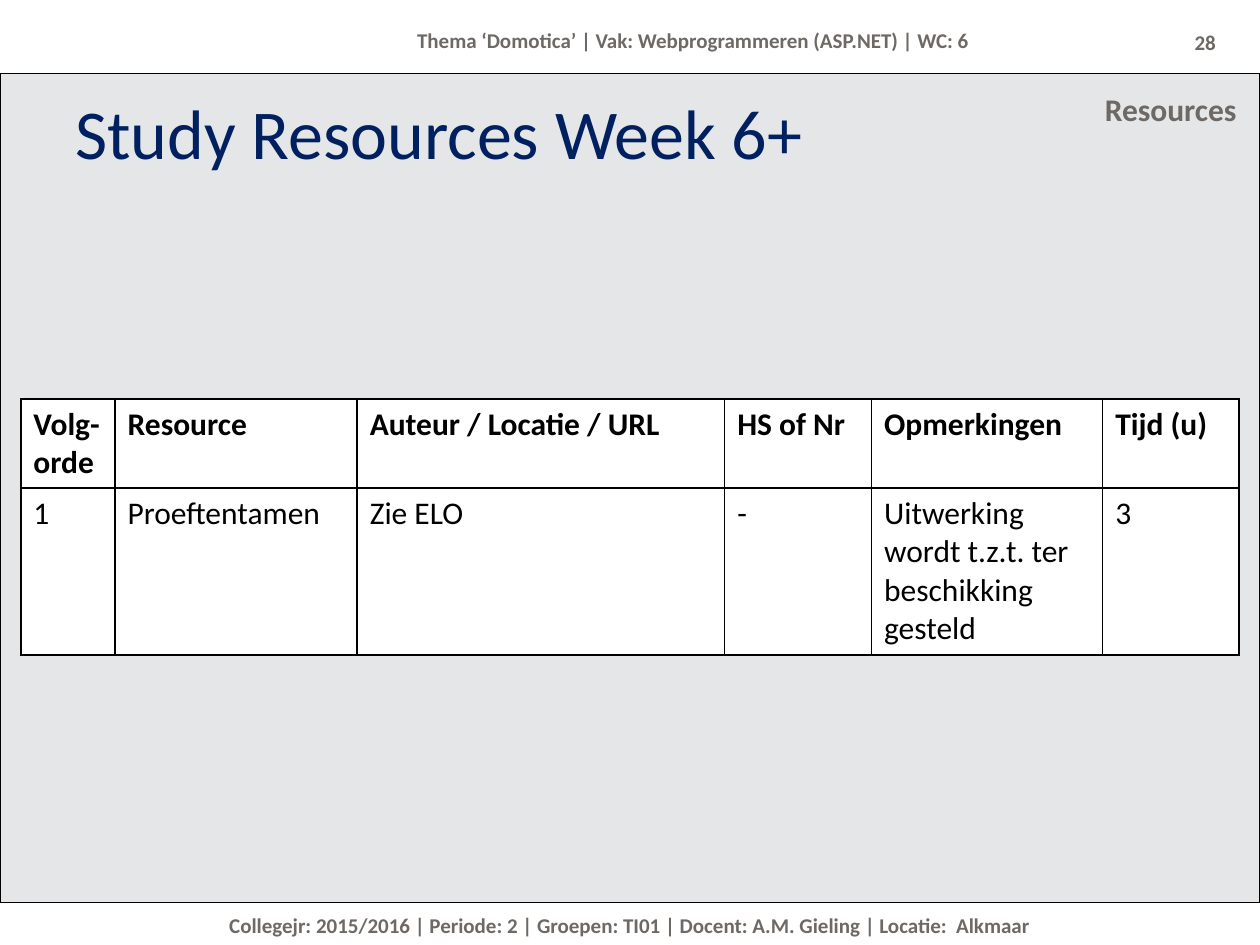
from lxml import etree
from pptx import Presentation
from pptx.dml.color import RGBColor
from pptx.enum.shapes import MSO_SHAPE
from pptx.enum.text import MSO_ANCHOR, PP_ALIGN
from pptx.oxml.ns import qn
from pptx.util import Cm, Pt

RECTANGLE = MSO_SHAPE.RECTANGLE
TOP, MIDDLE = MSO_ANCHOR.TOP, MSO_ANCHOR.MIDDLE
LEFT, CENTER, RIGHT = PP_ALIGN.LEFT, PP_ALIGN.CENTER, PP_ALIGN.RIGHT

FONT = "Calibri"
GREY, NAVY, BLACK, WHITE, PANEL = "6E6964", "002060", "000000", "FFFFFF", "E5E6E8"
COLUMN_WIDTHS = [1.9, 4.88, 7.41, 2.96, 4.66, 2.75]
ROW_HEIGHTS = [1.8, 3.36]
RESOURCES = [
    ["Volg-orde", "Resource", "Auteur / Locatie / URL", "HS of Nr", "Opmerkingen", "Tijd (u)"],
    ["1", "Proeftentamen", "Zie ELO", "-", "Uitwerking wordt t.z.t. ter beschikking gesteld", "3"],
]


def color(value):
    """Return the colour for a hex string."""
    return RGBColor.from_string(value)


def write(frame, text, size, text_color, bold=False, align=LEFT):
    """Set and format the text of a frame."""
    frame.text = text
    frame.word_wrap = True
    for paragraph in frame.paragraphs:
        paragraph.alignment = align
        for run in paragraph.runs:
            run.font.name = FONT
            run.font.size = Pt(size)
            run.font.bold = bold
            run.font.color.rgb = color(text_color)


def add_label(slide, box, text, size, text_color=GREY, bold=True, align=CENTER, anchor=TOP):
    """Place a text box in a box given in centimetres."""
    frame = slide.shapes.add_textbox(*map(Cm, box)).text_frame
    write(frame, text, size, text_color, bold, align)
    frame.vertical_anchor = anchor


def add_panel(slide, box):
    """Draw the grey content panel."""
    panel = slide.shapes.add_shape(RECTANGLE, *map(Cm, box))
    panel.shadow.inherit = False
    panel.fill.solid()
    panel.fill.fore_color.rgb = color(PANEL)
    panel.line.color.rgb = color(BLACK)
    panel.line.width = Pt(0.75)


def add_header(slide, box):
    """Place the course line and the slide number."""
    left, top, width, height = box
    add_label(slide, (left + 5.72, top, 16.51, height),
              "Thema ‘Domotica’ | Vak: Webprogrammeren (ASP.NET) | WC: 6", 12)
    add_label(slide, (left + width - 1.91, top, 1.27, height + 0.05), "28", 12,
              align=RIGHT, anchor=MIDDLE)


def add_heading(slide, box):
    """Place the title and the section name."""
    left, top, width, height = box
    add_label(slide, (left + 1.27, top + 0.21, width - 2.54, height), "Study Resources Week 6+",
              40, NAVY, False, LEFT, MIDDLE)
    add_label(slide, (left + width - 8.04, top, 7.82, 1.07), "Resources", 18, align=RIGHT)


def add_footer(slide, box):
    """Place the details of the course."""
    add_label(slide, box, "Collegejr: 2015/2016 | Periode: 2 | Groepen: TI01 | "
              "Docent: A.M. Gieling | Locatie:  Alkmaar", 12)


def add_borders(cell):
    """Draw black borders around a cell."""
    properties = cell._tc.get_or_add_tcPr()
    for position, side in enumerate(("a:lnL", "a:lnR", "a:lnT", "a:lnB")):
        border = etree.Element(qn(side), w=str(Pt(1)))
        fill = etree.SubElement(border, qn("a:solidFill"))
        etree.SubElement(fill, qn("a:srgbClr"), val=BLACK)
        properties.insert(position, border)


def add_resources(slide, box):
    """Build the table of study resources."""
    table = slide.shapes.add_table(len(RESOURCES), len(COLUMN_WIDTHS), *map(Cm, box)).table
    table.horz_banding = False
    for column, width in zip(table.columns, COLUMN_WIDTHS):
        column.width = Cm(width)
    for row, height, texts in zip(table.rows, ROW_HEIGHTS, RESOURCES):
        row.height = Cm(height)
        for cell, text in zip(row.cells, texts):
            write(cell.text_frame, text, 18, BLACK, bold=texts is RESOURCES[0])
            cell.fill.solid()
            cell.fill.fore_color.rgb = color(WHITE)
            add_borders(cell)


def main():
    """Build and save the slide."""
    presentation = Presentation()
    presentation.slide_width, presentation.slide_height = Cm(25.4), Cm(19.05)
    slide = presentation.slides.add_slide(presentation.slide_layouts[6])
    add_panel(slide, (0, 1.48, 25.4, 16.72))
    add_footer(slide, (0, 18.27, 25.4, 0.77))
    add_header(slide, (0, 0.43, 25.4, 0.77))
    add_heading(slide, (0, 1.7, 25.4, 1.48))
    add_resources(slide, (0.42, 8.04, sum(COLUMN_WIDTHS), sum(ROW_HEIGHTS)))
    presentation.save("out.pptx")


if __name__ == "__main__":
    main()
